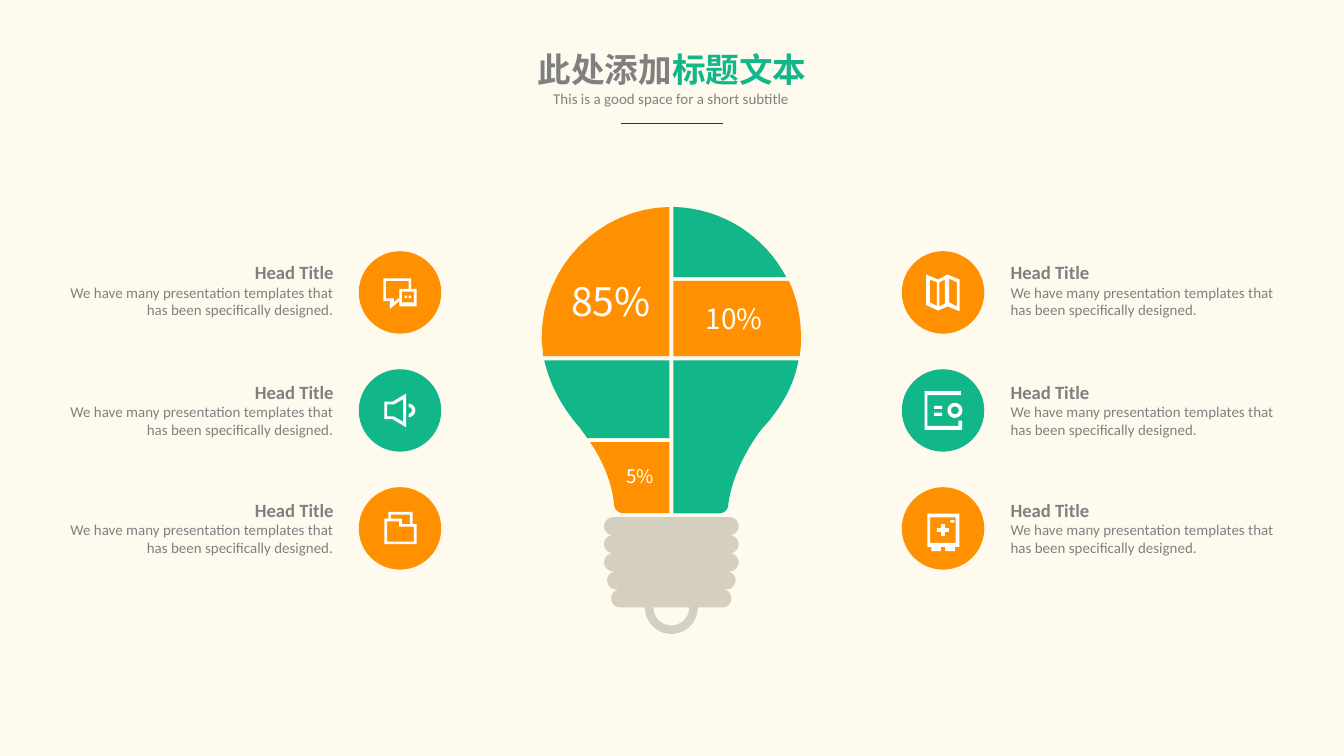
from math import cos, radians, sin

from lxml import etree
from pptx import Presentation
from pptx.dml.color import RGBColor
from pptx.enum import shapes, text
from pptx.oxml.ns import qn
from pptx.util import Pt

ORANGE, GREEN, GREY, WHITE = "FF9101", "12B789", "808080", "FFFFFF"
CREAM, BROWN, DARK = "FEFAEE", "2E2403", "333333"
LATIN, CJK = "Calibri", "Noto Sans CJK SC"


def box(left, top, right, bottom):
    return [(left, top), (right, top), (right, bottom), (left, bottom)]


def arc(cx, cy, radius, start, end, steps=24):
    """Points on a circle; angles in degrees, clockwise from the right."""
    angles = [radians(start + (end - start) * i / steps) for i in range(steps + 1)]
    return [(cx + radius * cos(a), cy + radius * sin(a)) for a in angles]


TITLE = [("此处添加", GREY), ("标题文本", GREEN)]
SUBTITLE = "This is a good space for a short subtitle"
HEAD = "Head Title"
BODY = "We have many presentation templates that has been specifically designed."

# Each icon: "outlines" hold contours (holes included), "bars" are left, top, width, height.
# All icon lengths count from the middle of its disc.
CHAT = {
    "outlines": [[
        [(6, -1.9), (6, -7.6), (-9, -7.6), (-9, 4.6), (-5.5, 4.6), (-5.5, 8.9),
         (-0.4, 4.6), (-0.4, 7.5), (8.9, 7.5), (8.9, -1.9)],
        [(-0.9, 3.2), (-3.3, 5.3), (-3.3, 3.2), (-7.6, 3.2), (-7.6, -6.2),
         (4.6, -6.2), (4.6, -1.9), (-0.4, -1.9), (-0.4, 3.2)],
        box(1, -0.4, 7.5, 5.3)]],
    "bars": [(2.4, 1.7, 1.4, 1.4), (4.6, 1.7, 1.4, 1.4)]}
SPEAKER = {
    "outlines": [
        [[(-8.4, -4.7), (-8.4, 4.7), (-4, 4.7), (3.2, 9), (3.2, -9), (-4, -4.7)],
         [(1.7, -6.1), (1.7, 6.1), (-3.3, 3.2), (-6.9, 3.2), (-6.9, -3.2), (-3.3, -3.2)]],
        [arc(4.6, 0, 3.6, -90, 90) + arc(4.6, 0, 1.8, 90, -90)]],
    "bars": []}
FOLDER = {
    "outlines": [[
        [(6.8, -2.3), (6.8, -8.8), (-6.2, -8.8), (-6.2, -5.2), (-8.4, -5.2),
         (-8.4, 8.5), (8.9, 8.5), (8.9, -2.3)],
        [(-4.8, -7.3), (5.3, -7.3), (5.3, -2.3), (1, -2.3), (1, -5.2), (-4.8, -5.2)],
        [(7.5, 7.1), (-6.9, 7.1), (-6.9, -3.7), (-0.4, -3.7), (-0.4, -0.9), (7.5, -0.9)]]],
    "bars": []}
MAP = {
    "outlines": [[
        [(2.4, -9.6), (-2.6, -6.9), (-9, -9.6), (-9, 6.8), (-2.6, 9.7), (2.4, 7.5),
         (8.9, 10), (8.9, -6.9)],
        [(-1.9, -5.5), (1, -6.9), (1, 6), (-1.9, 7.5)],
        [(-7, -6.9), (-3.3, -5.5), (-3.3, 7.2), (-7, 5.3)],
        [(7.5, 7.5), (3.2, 5.3), (3.2, -7.4), (7.5, -5.5)]]],
    "bars": []}
CARD = {
    "outlines": [
        [[(8.2, 8.3), (-8.3, 8.3), (-8.3, -8.2), (9.6, -8.2), (9.6, -10.3),
          (-9.8, -10.3), (-9.8, 10.4), (10.2, 10.4), (10.2, 5.5), (8.2, 5.5)]],
        [arc(6.4, 0, 4, 0, 360), arc(6.4, 0, 2.1, 0, 360)]],
    "bars": [(-4.8, -2.4, 4.3, 1.6), (-4.8, 1.2, 4.3, 1.8)]}
SAFE = {
    "outlines": [
        [[(8.8, -8), (-8.4, -8), (-8.4, 9.9), (-6.3, 9.9), (-6.3, 12.1), (-1.2, 12.1),
          (-1.2, 9.9), (1.2, 9.9), (1.2, 12.1), (6.3, 12.1), (6.3, 9.9), (8.8, 9.9)],
         box(-6.9, -5.9, 6.8, 7.8)],
        [[(-1, 4.1), (1, 4.1), (1, 1.9), (3.2, 1.9), (3.2, -0.1), (1, -0.1),
          (1, -2.3), (-1, -2.3), (-1, -0.1), (-3.2, -0.1), (-3.2, 1.9), (-1, 1.9)]]],
    "bars": [(3.9, -4.5, 2.2, 1.4)]}

# Columns: disc centre, text left, alignment, icons from top to bottom.
COLUMNS = [(214.3, 31, text.PP_ALIGN.RIGHT, (CHAT, SPEAKER, FOLDER)),
           (505.2, 541.4, text.PP_ALIGN.LEFT, (MAP, CARD, SAFE))]
ROW_COLORS = (ORANGE, GREEN, ORANGE)
TEXT_TOPS = (139.7, 203.8, 267.1)
DISC, FIRST_DISC, DISC_PITCH = 44.2, 156.7, 63.2

# Bulb panes: side (-1 left, 1 right), colour, contour as distances from the bulb's axis.
# Two numbers draw a line, six draw a Bézier curve.
AXIS, INNER = 359.7, 1.1
PANES = [
    (-1, ORANGE, [(INNER, 236.9), (43.6, 236.9), (38.6, 244.1, 32.1, 256.3, 30.7, 270),
                  (30.7, 272.9, 28.5, 275, 25.6, 275), (INNER, 275)]),
    (-1, GREEN, [(INNER, 193), (68.1, 193), (65.2, 205.9, 58.7, 218.2, 48.6, 229.7),
                 (48.6, 229.7, 47.2, 231.8, 45, 234.7), (INNER, 234.7)]),
    (-1, ORANGE, [(INNER, 110.9), (38.6, 111.6, 69.5, 142.6, 69.5, 180.7),
                  (69.5, 184.3, 68.8, 187.2, 68.8, 190.8), (INNER, 190.8)]),
    (1, GREEN, [(INNER, 193), (68.1, 193), (65.8, 205.9, 59.3, 218.2, 48.5, 229.7),
                (48.5, 229.7, 33.4, 248.4, 30.5, 270),
                (30.5, 272.9, 28.4, 275, 25.5, 275), (INNER, 275)]),
    (1, GREEN, [(61.5, 148.5), (50, 126.7, 27.7, 111.6, INNER, 110.9), (INNER, 148.5)]),
    (1, ORANGE, [(INNER, 150.5), (INNER, 190.8), (68.7, 190.8),
                 (69.4, 187.2, 69.4, 184.3, 69.4, 180.7),
                 (69.4, 169.9, 67.3, 159.8, 62.9, 150.5)]),
]
SHARES = [("85%", 21, (306, 148.3, 43.2, 25.2)),
          ("10%", 15, (378, 161.6, 31, 18)),
          ("5%", 10, (335.5, 249.1, 18, 12.2))]

THREADS = (36, 36, 36, 34.4, 32.2)  # half widths
THREAD_TOP, THREAD_PITCH = 277.1, 9.68


def rgb(value):
    return RGBColor.from_string(value)


def paint(sp, color):
    sp.shadow.inherit = False
    sp.fill.solid()
    sp.fill.fore_color.rgb = rgb(color)
    sp.line.fill.background()
    return sp


def add_preset(kind, left, top, width, height, color):
    return paint(s.shapes.add_shape(kind, Pt(left), Pt(top), Pt(width), Pt(height)), color)


def flatten(contour, steps=16):
    """Turn the Bézier parts of a contour into short lines."""
    points = []
    for part in contour:
        if len(part) == 2:
            points.append(part)
            continue
        x0, y0 = points[-1]
        x1, y1, x2, y2, x3, y3 = part
        for t in (i / steps for i in range(1, steps + 1)):
            a, b, c, d = (1 - t) ** 3, 3 * t * (1 - t) ** 2, 3 * t * t * (1 - t), t ** 3
            points.append((a * x0 + b * x1 + c * x2 + d * x3,
                           a * y0 + b * y1 + c * y2 + d * y3))
    return points


def add_outline(contours, color, dx=0, dy=0, side=1):
    fb = None
    for contour in contours:
        pts = [(Pt(dx + side * x), Pt(dy + y)) for x, y in flatten(contour)]
        if fb is None:
            fb = s.shapes.build_freeform(*pts[0], scale=1.0)
        else:
            fb.move_to(*pts[0])
        fb.add_line_segments(pts[1:], close=True)
    return paint(fb.convert_to_shape(), color)


def add_text(frame, paragraphs, align=text.PP_ALIGN.LEFT, wrap=False, inset=0):
    """Each paragraph is a list of runs: words, size, font, colour, bold."""
    tf = s.shapes.add_textbox(*map(Pt, frame)).text_frame
    tf.word_wrap = wrap
    tf.auto_size = text.MSO_AUTO_SIZE.SHAPE_TO_FIT_TEXT
    tf.margin_left = tf.margin_right = Pt(inset)
    tf.margin_top = tf.margin_bottom = Pt(inset / 2)
    for i, runs in enumerate(paragraphs):
        p = tf.add_paragraph() if i else tf.paragraphs[0]
        p.alignment = align
        for words, size, font, color, bold in runs:
            r = p.add_run()
            r.text = words
            r.font.size, r.font.name, r.font.bold = Pt(size), font, bold
            r.font.color.rgb = rgb(color)


prs = Presentation()
prs.slide_width, prs.slide_height = Pt(720), Pt(405)
s = prs.slides.add_slide(prs.slide_layouts[6])
s.background.fill.solid()
s.background.fill.fore_color.rgb = rgb(CREAM)

for cx, text_left, align, icons in COLUMNS:
    for row, (icon, color, top) in enumerate(zip(icons, ROW_COLORS, TEXT_TOPS)):
        cy = FIRST_DISC + row * DISC_PITCH
        add_preset(shapes.MSO_SHAPE.OVAL, cx - DISC / 2, cy - DISC / 2, DISC, DISC, color)
        for contours in icon["outlines"]:
            add_outline(contours, WHITE, cx, cy)
        for x, y, w, h in icon["bars"]:
            add_preset(shapes.MSO_SHAPE.RECTANGLE, cx + x, cy + y, w, h, WHITE)
        add_text((text_left, top, 147.6, 31),
                 [[(HEAD, 10, LATIN, GREY, True)], [(BODY, 8, LATIN, GREY, False)]],
                 align, wrap=True)

radius = THREAD_PITCH / 2
right_edge = []
for i, half in enumerate(THREADS):
    right_edge += arc(half - radius, THREAD_TOP + (i + 0.5) * THREAD_PITCH, radius, -90, 90)
loop_y = THREAD_TOP + len(THREADS) * THREAD_PITCH
left_edge = [(-x, y) for x, y in reversed(right_edge)]
base = add_outline([right_edge + arc(0, loop_y, 14.2, 0, 180) + left_edge,
                    arc(0, loop_y, 9.6, 0, 180)], BROWN, AXIS)
etree.SubElement(base._element.spPr.find(".//" + qn("a:srgbClr")), qn("a:alpha"), val="20000")

for side, color, contour in PANES:
    add_outline([contour], color, AXIS, side=side)
for share, size, frame in SHARES:
    add_text(frame, [[(share, size, CJK, WHITE, False)]])

add_text((279.4, 22.6, 161.3, 28.8), [[(words, 18, LATIN, color, True) for words, color in TITLE]],
         text.PP_ALIGN.CENTER, inset=7.2)
add_text((288.7, 44.6, 141.8, 17.3), [[(SUBTITLE, 8, LATIN, GREY, False)]],
         text.PP_ALIGN.CENTER, inset=7.2)
rule = s.shapes.add_connector(shapes.MSO_CONNECTOR.STRAIGHT, Pt(332.6), Pt(66.2), Pt(387.4), Pt(66.2))
rule.line.color.rgb = rgb(DARK)
rule.line.width = Pt(0.5)
etree.SubElement(rule._element.spPr, qn("a:effectLst"))

prs.save("out.pptx")
